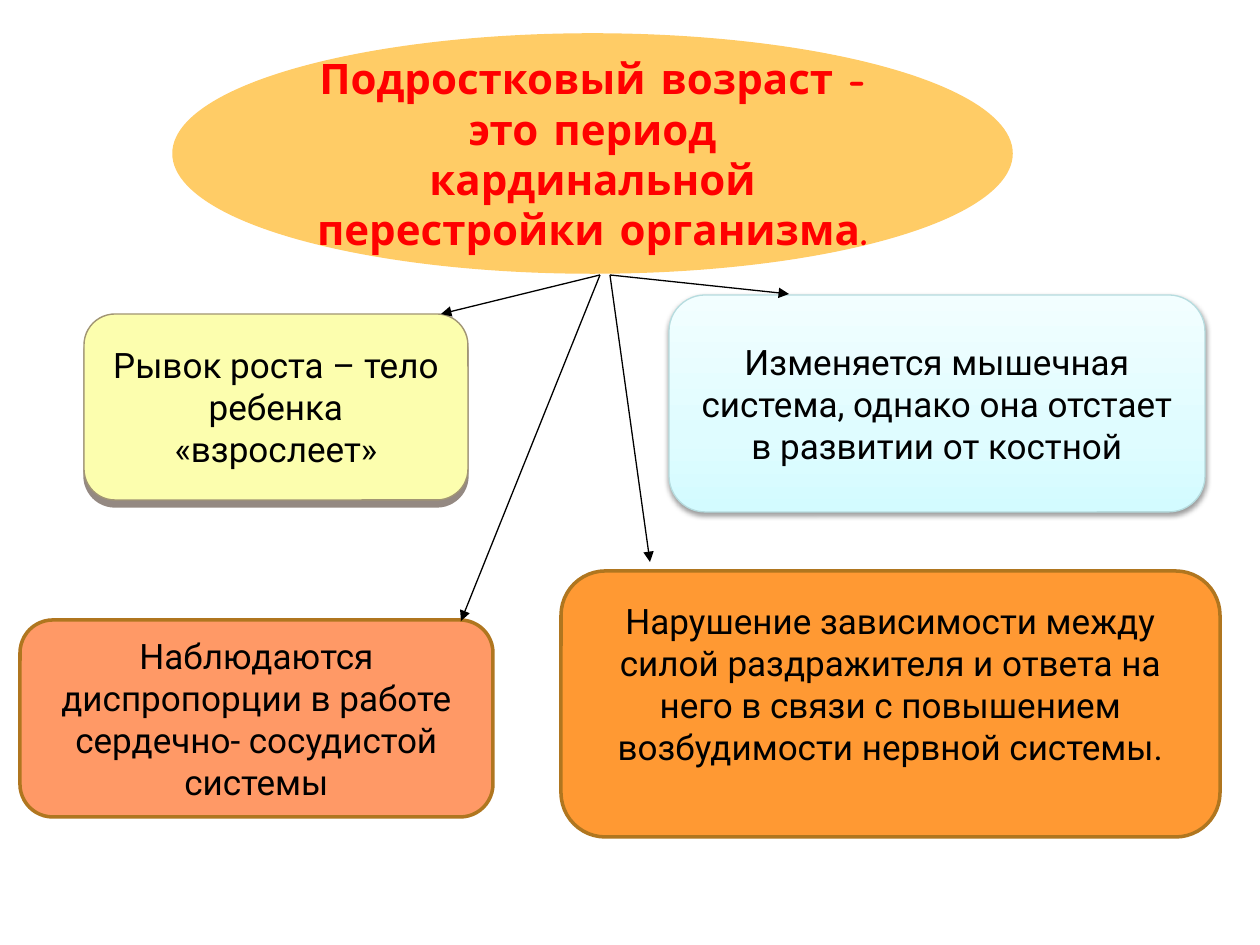
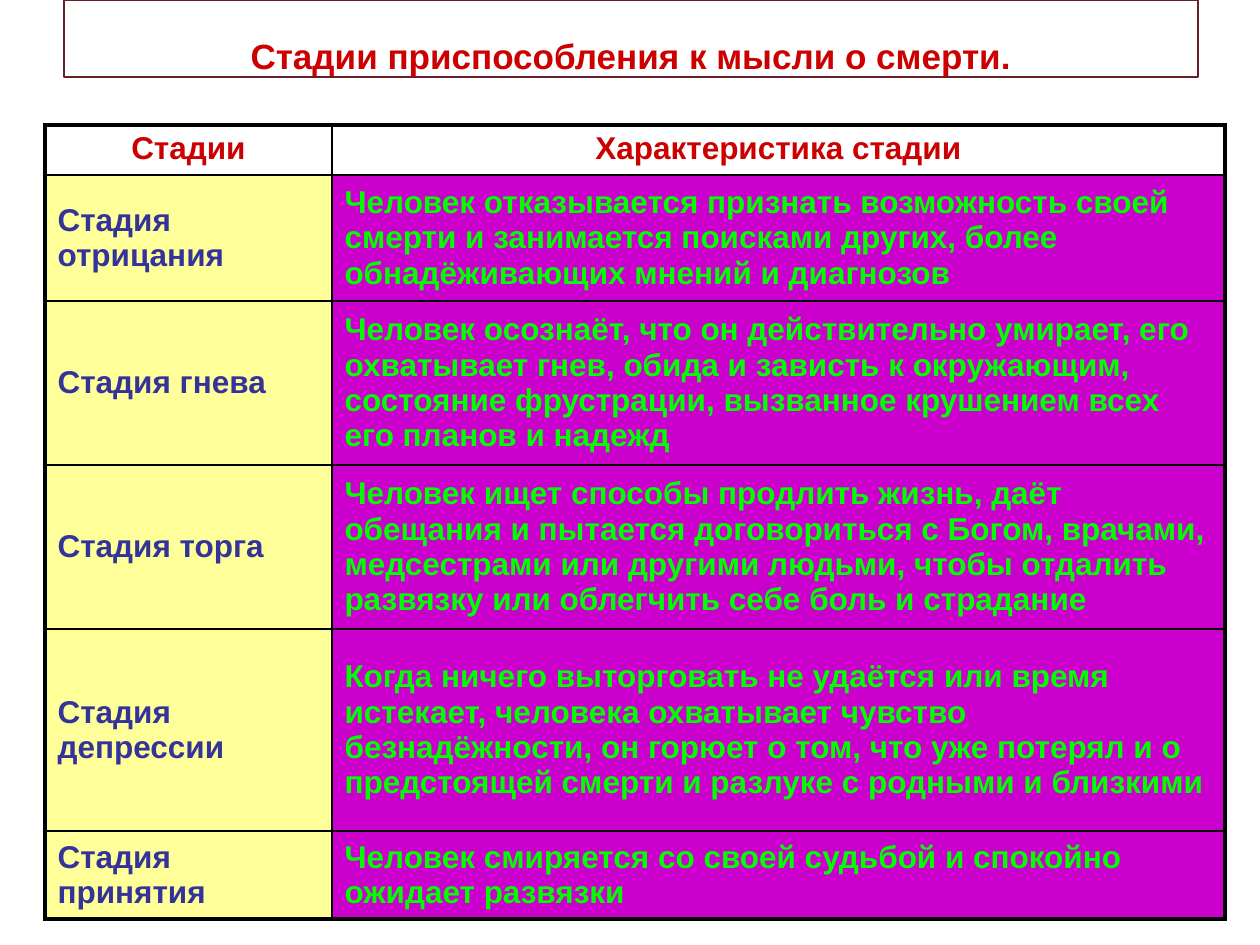
from lxml.etree import SubElement
from pptx import Presentation
from pptx.dml.color import RGBColor
from pptx.enum.shapes import MSO_CONNECTOR as Connector, MSO_SHAPE as Preset
from pptx.enum.text import MSO_ANCHOR as Anchor, PP_ALIGN as Align
from pptx.oxml.ns import qn
from pptx.util import Emu, Pt

PX = 914400 / 126
BLACK, WHITE, HEADING = "000000", "FFFFFF", "CC0000"

TOPIC = "Подростковый возраст - это период кардинальной перестройки организма."
TOPIC_BOX = (174, 35, 837, 237)
CHANGES = [
    dict(text="Рывок роста – тело ребенка «взрослеет»",
         box=(84, 314, 384, 186), fills=["FCFEAE"], edge=("A19574", 0.79),
         shadow=("4E3B30", 60, 0, 4)),
    dict(text="Изменяется мышечная система, однако она отстает в развитии от костной",
         box=(669, 295, 536, 217), fills=["D3FBFF", "DFFCFF", "F2FEFF"],
         edge=("B6DCDF", 0.75), shadow=("000000", 38, 3.1, 1.6)),
    dict(text="Наблюдаются диспропорции в работе сердечно- сосудистой системы",
         box=(20, 620, 473, 197), fills=["FF9966"], edge=("B0761F", 2)),
    dict(text="Нарушение зависимости между силой раздражителя и ответа на него "
              "в связи с повышением возбудимости нервной системы.",
         box=(561, 571, 659, 266), fills=["FF9933"], edge=("B0761F", 2), bottom=48),
]
GRADIENT_STOPS = (0, 35, 100)
ARROW_TOP = 275
ARROWS = [(600, (441, 314)), (610, (789, 294)), (610, (650, 562)), (600, (461, 621))]

STAGES_TITLE = "Стадии приспособления к мысли о смерти."
STAGES_TITLE_BOX = (64, 0, 1134, 77)
STAGES_HEADER = ("Стадии", "Характеристика стадии")
STAGES = [
    ("Стадия отрицания",
     "Человек отказывается признать возможность своей смерти и занимается "
     "поисками других, более обнадёживающих мнений и диагнозов"),
    ("Стадия гнева",
     "Человек осознаёт, что он действительно умирает, его охватывает гнев, обида "
     "и зависть к окружающим, состояние фрустрации, вызванное крушением всех "
     "его планов и надежд"),
    ("Стадия торга",
     "Человек ищет способы продлить жизнь, даёт обещания и пытается договориться "
     "с Богом, врачами, медсестрами или другими людьми, чтобы отдалить развязку "
     "или облегчить себе боль и страдание"),
    ("Стадия депрессии",
     "Когда ничего выторговать не удаётся или время истекает, человека охватывает "
     "чувство безнадёжности, он горюет о том, что уже потерял и о предстоящей "
     "смерти и разлуке с родными и близкими"),
    ("Стадия принятия",
     "Человек смиряется со своей судьбой и спокойно ожидает развязки"),
]
STAGES_CORNER = (45, 125)
COLUMN_WIDTHS = (287, 893)
ROW_HEIGHTS = (50, 126, 164, 164, 202, 88)
COLUMN_COLOURS = [("FFFF99", "333399"), ("CC00CC", "00FF00")]
OUTER_EDGE, INNER_EDGE = 2.25, 1


def px(length):
    return Emu(round(length * PX))


def colour(hex_string):
    return RGBColor.from_string(hex_string)


def write(frame, text, font, size, ink, bold=False, align=Align.CENTER):
    frame.text = text
    frame.word_wrap = True
    paragraph = frame.paragraphs[0]
    paragraph.alignment = align
    style = paragraph.runs[0].font
    style.name, style.size, style.bold = font, Pt(size), bold
    style.color.rgb = colour(ink)


def add_panel(slide, preset, box, edge, fills=()):
    panel = slide.shapes.add_shape(preset, *map(px, box))
    panel.shadow.inherit = False
    panel.line.color.rgb = colour(edge[0])
    panel.line.width = Pt(edge[1])
    panel.text_frame.vertical_anchor = Anchor.MIDDLE
    if not fills:
        panel.fill.background()
    elif len(fills) == 1:
        panel.fill.solid()
        panel.fill.fore_color.rgb = colour(fills[0])
    else:
        panel.fill.gradient()
        panel.fill.gradient_angle = 90
        stops = panel.element.spPr.find(".//" + qn("a:gsLst"))
        for stop in list(stops):
            stops.remove(stop)
        for position, shade in zip(GRADIENT_STOPS, fills):
            stop = SubElement(stops, qn("a:gs"), pos=str(position * 1000))
            SubElement(stop, qn("a:srgbClr"), val=shade)
    return panel


def cast_shadow(panel, shade, opacity, blur, distance):
    effects = panel.element.spPr.find(qn("a:effectLst"))
    outer = SubElement(effects, qn("a:outerShdw"), blurRad=str(Pt(blur)),
                       dist=str(Pt(distance)), dir="5400000", rotWithShape="0")
    tint = SubElement(outer, qn("a:srgbClr"), val=shade)
    SubElement(tint, qn("a:alpha"), val=str(opacity * 1000))


def add_arrow(slide, start, end):
    arrow = slide.shapes.add_connector(Connector.STRAIGHT, *map(px, start + end))
    arrow.line.color.rgb = colour(BLACK)
    arrow.line.width = Pt(0.75)
    SubElement(arrow.line._get_or_add_ln(), qn("a:tailEnd"), type="triangle")
    SubElement(arrow.element.spPr, qn("a:effectLst"))


def set_borders(cell, widths):
    properties = cell._tc.get_or_add_tcPr()
    for index, (side, width) in enumerate(zip("LRTB", widths)):
        border = SubElement(properties, qn(f"a:ln{side}"), w=str(Pt(width)))
        fill = SubElement(border, qn("a:solidFill"))
        SubElement(fill, qn("a:srgbClr"), val=BLACK)
        properties.insert(index, border)


def build_changes(slide):
    topic = add_panel(slide, Preset.OVAL, TOPIC_BOX, ("FFCC66", 2), ["FFCC66"])
    write(topic.text_frame, TOPIC, "Comic Neue", 24, "FF0000", bold=True)
    for change in CHANGES:
        panel = add_panel(slide, Preset.ROUNDED_RECTANGLE, change["box"],
                          change["edge"], change["fills"])
        write(panel.text_frame, change["text"], "Roboto", 20, BLACK)
        if "shadow" in change:
            cast_shadow(panel, *change["shadow"])
        if "bottom" in change:
            panel.text_frame.margin_bottom = px(change["bottom"])
    for start_x, end in ARROWS:
        add_arrow(slide, (start_x, ARROW_TOP), end)


def build_stages(slide):
    title = add_panel(slide, Preset.RECTANGLE, STAGES_TITLE_BOX, ("671F28", 0.75))
    write(title.text_frame, STAGES_TITLE, "Arial", 20, HEADING, bold=True)
    title.text_frame.vertical_anchor = Anchor.BOTTOM
    title.text_frame.margin_bottom = 0

    rows = [STAGES_HEADER] + STAGES
    last_row, last_column = len(rows) - 1, len(COLUMN_WIDTHS) - 1
    size = (sum(COLUMN_WIDTHS), sum(ROW_HEIGHTS))
    table = slide.shapes.add_table(len(rows), len(COLUMN_WIDTHS),
                                   *map(px, STAGES_CORNER + size)).table
    table.first_row = table.horz_banding = False
    for column, width in zip(table.columns, COLUMN_WIDTHS):
        column.width = px(width)
    for r, (texts, height) in enumerate(zip(rows, ROW_HEIGHTS)):
        table.rows[r].height = px(height)
        for c, text in enumerate(texts):
            cell = table.cell(r, c)
            back, ink = COLUMN_COLOURS[c] if r else (WHITE, HEADING)
            write(cell.text_frame, text, "Arial", 18, ink, bold=True,
                  align=Align.LEFT if r else Align.CENTER)
            cell.vertical_anchor = Anchor.MIDDLE if r else Anchor.TOP
            cell.fill.solid()
            cell.fill.fore_color.rgb = colour(back)
            outside = (c == 0, c == last_column, r == 0, r == last_row)
            set_borders(cell, [OUTER_EDGE if edge else INNER_EDGE for edge in outside])


def main():
    deck = Presentation()
    deck.slide_width, deck.slide_height = px(1260), px(945)
    for build in (build_changes, build_stages):
        build(deck.slides.add_slide(deck.slide_layouts[6]))
    deck.save("out.pptx")


if __name__ == "__main__":
    main()
